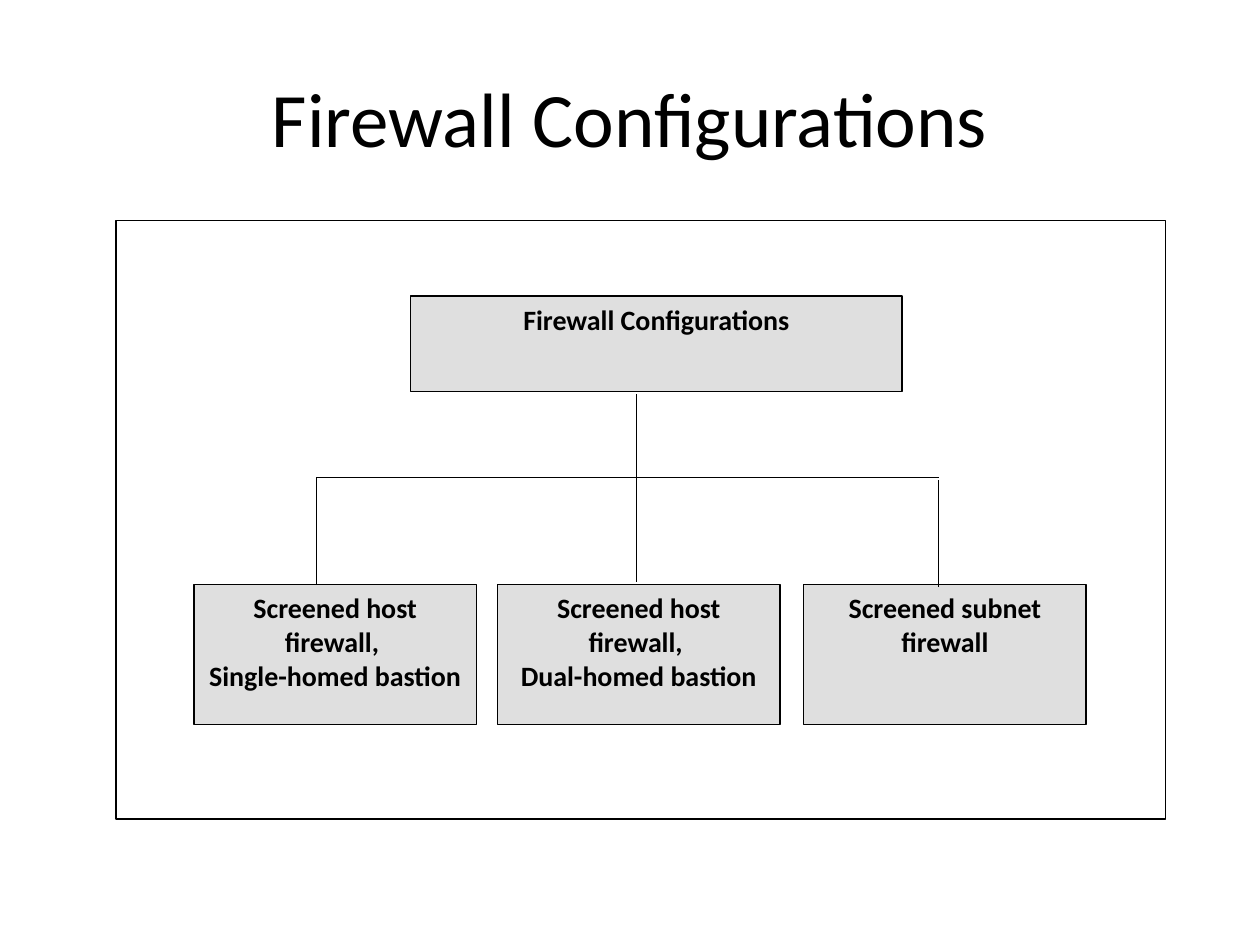
from lxml.etree import SubElement
from pptx import Presentation
from pptx.dml.color import RGBColor
from pptx.enum.shapes import MSO_CONNECTOR, MSO_SHAPE
from pptx.enum.text import MSO_ANCHOR, PP_ALIGN
from pptx.oxml.ns import qn
from pptx.util import Inches, Pt

BLACK = RGBColor(0x00, 0x00, 0x00)
WHITE = RGBColor(0xFF, 0xFF, 0xFF)
SILVER = RGBColor(0xC0, 0xC0, 0xC0)
FONT = "Calibri"
LINE_WIDTH = Pt(0.75)

TITLE = "Firewall Configurations"
TITLE_AREA = (0.5, 0.3, 9, 1.25)
FRAME_AREA = (0.92, 1.75, 8.33, 4.75)
ROOT = ("Firewall Configurations", (3.26, 2.35, 3.9, 0.76))

CHILD_TOP, CHILD_WIDTH, CHILD_HEIGHT = 4.64, 2.24, 1.11
CHILDREN = [  # left edge, text
    (1.54, "Screened host firewall, \nSingle-homed bastion"),
    (3.95, "Screened host firewall, \nDual-homed bastion"),
    (6.38, "Screened subnet firewall"),
]

BUS_Y = 3.79
LEFT_X, TRUNK_X, RIGHT_X = 2.51, 5.05, 7.45
BRANCHES = [  # x1, y1, x2, y2
    (TRUNK_X, 3.13, TRUNK_X, 4.62),
    (LEFT_X, BUS_Y, RIGHT_X, BUS_Y),
    (LEFT_X, BUS_Y, LEFT_X, CHILD_TOP),
    (RIGHT_X, 3.81, RIGHT_X, 4.66),
]


def inches(values):
    return [Inches(value) for value in values]


def write(shape, text, size, bold, anchor):
    frame = shape.text_frame
    frame.text = text
    frame.word_wrap = True
    frame.vertical_anchor = anchor
    for paragraph in frame.paragraphs:
        paragraph.alignment = PP_ALIGN.CENTER
        for run in paragraph.runs:
            run.font.name = FONT
            run.font.size = Pt(size)
            run.font.bold = bold
            run.font.color.rgb = BLACK


def add_box(shapes, area, fill):
    box = shapes.add_shape(MSO_SHAPE.RECTANGLE, *inches(area))
    box.shadow.inherit = False
    box.fill.solid()
    box.fill.fore_color.rgb = fill
    box.line.color.rgb = BLACK
    box.line.width = LINE_WIDTH
    return box


def add_node(shapes, text, area):
    """Add a half-transparent grey box with a bold label at its top."""
    node = add_box(shapes, area, SILVER)
    color = node.fill._xPr.find(qn("a:solidFill")).find(qn("a:srgbClr"))
    SubElement(color, qn("a:alpha")).set("val", "50000")
    write(node, text, 16, True, MSO_ANCHOR.TOP)


def add_branch(shapes, ends):
    branch = shapes.add_connector(MSO_CONNECTOR.STRAIGHT, *inches(ends))
    branch.line.color.rgb = BLACK
    branch.line.width = LINE_WIDTH
    SubElement(branch._element.spPr, qn("a:effectLst"))


def main():
    presentation = Presentation()
    presentation.slide_width = Inches(10)
    presentation.slide_height = Inches(7.5)
    slide = presentation.slides.add_slide(presentation.slide_layouts[6])
    slide.background.fill.solid()
    slide.background.fill.fore_color.rgb = WHITE

    title = slide.shapes.add_textbox(*inches(TITLE_AREA))
    write(title, TITLE, 44, False, MSO_ANCHOR.MIDDLE)

    chart = slide.shapes.add_group_shape().shapes
    add_box(chart, FRAME_AREA, WHITE)
    add_node(chart, *ROOT)
    for left, text in CHILDREN:
        add_node(chart, text, (left, CHILD_TOP, CHILD_WIDTH, CHILD_HEIGHT))
    for ends in BRANCHES:
        add_branch(chart, ends)

    presentation.save("out.pptx")


if __name__ == "__main__":
    main()
